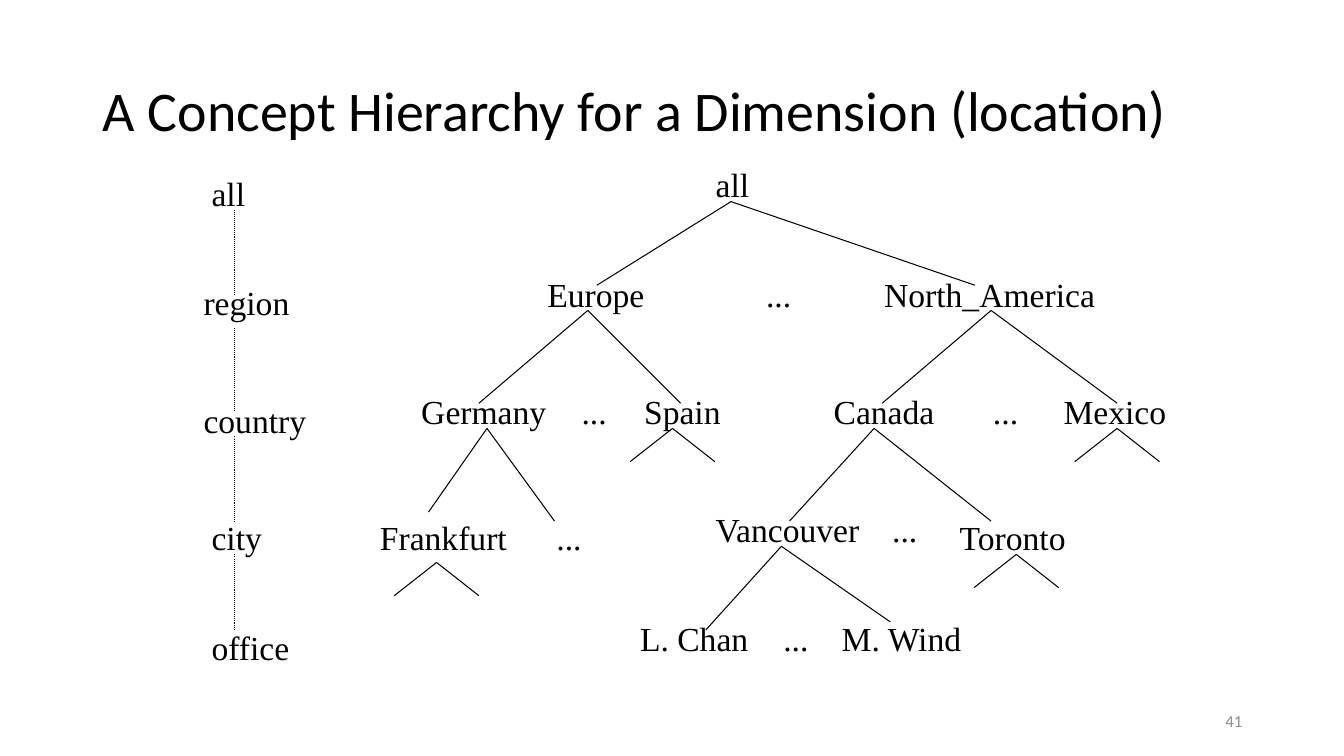
from pptx import Presentation
from pptx.dml.color import RGBColor
from pptx.enum.dml import MSO_LINE
from pptx.enum.shapes import MSO_CONNECTOR
from pptx.enum.text import MSO_ANCHOR, MSO_AUTO_SIZE, PP_ALIGN
from pptx.oxml.ns import qn
from pptx.util import Inches, Pt

THEME = {
    "ink": RGBColor(0, 0, 0),
    "muted": RGBColor(0x8C, 0x8C, 0x8C),
    "heading_font": "Calibri",
    "label_font": "Times New Roman",
    "title_size": Pt(40),
    "label_size": Pt(24),
    "number_size": Pt(12),
    "line_width": Pt(0.75),
}

TITLE = "A Concept Hierarchy for a Dimension (location)"
PAGE_NUMBER = "41"
LABEL_HEIGHT = 0.5
ELLIPSIS_WIDTH = 0.45

LEVELS = [
    ("all", 2, 1.67, 0.53),
    ("region", 1.92, 2.75, 1.05),
    ("country", 1.92, 3.92, 1.22),
    ("city", 2, 5.08, 0.7),
    ("office", 2, 6.17, 0.98),
]
LEVEL_AXIS = 2.33
LEVEL_GAPS = [(2.08, 2.92), (3.25, 4.08), (4.33, 5.17), (5.5, 6.25)]

MEMBERS = [
    ("all", 7, 1.58, 0.53),
    ("Europe", 5.33, 2.67, 1.16),
    ("North_America", 8.67, 2.67, 2.29),
    ("Germany", 4.08, 3.83, 1.44),
    ("Spain", 6.29, 3.83, 0.96),
    ("Canada", 8.17, 3.83, 1.2),
    ("Mexico", 10.45, 3.83, 1.22),
    ("Frankfurt", 3.67, 5.08, 1.46),
    ("Vancouver", 7, 5, 1.66),
    ("Toronto", 9.42, 5.08, 1.27),
    ("L. Chan", 6.25, 6.08, 1.3),
    ("M. Wind", 8.25, 6.08, 1.42),
]
ELLIPSES = [(7.5, 2.67), (5.67, 3.83), (9.75, 3.83), (5.42, 5.08), (8.75, 5), (7.67, 6.08)]

BRANCHES = [
    ((7.25, 2), (5.92, 2.83), (9.67, 2.83)),
    ((5.83, 3.08), (4.75, 4), (6.75, 4)),
    ((9.83, 3.08), (8.75, 4), (11.08, 4)),
    ((4.83, 4.25), (4.25, 5.08), (5.5, 5.17)),
    ((8.67, 4.25), (7.83, 5.17), (9.83, 5.17)),
    ((7.75, 5.42), (7, 6.25), (8.83, 6.17)),
]
STUBS = [(6.67, 4.25), (11.08, 4.25), (4.33, 5.58), (10.08, 5.5)]
STUB_REACH, STUB_DROP = 0.42, 0.33


def add_text(page, text, place, font, frame=None, paragraph=None):
    box = page.shapes.add_textbox(*map(Inches, place)).text_frame
    para = box.paragraphs[0]
    span = para.add_run()
    span.text = text
    span.font.color.rgb = font["color"]
    for target, values in ((box, frame or {}), (para, paragraph or {}),
                           (span.font, {"name": font["name"], "size": font["size"]})):
        for name, value in values.items():
            setattr(target, name, value)


def add_label(page, text, left, top, width):
    add_text(page, text, (left, top, width, LABEL_HEIGHT),
             {"name": THEME["label_font"], "size": THEME["label_size"], "color": THEME["ink"]},
             {"word_wrap": False, "auto_size": MSO_AUTO_SIZE.SHAPE_TO_FIT_TEXT})


def add_line(page, start, end, dash=None):
    line = page.shapes.add_connector(MSO_CONNECTOR.STRAIGHT, *map(Inches, (*start, *end)))
    line.line.color.rgb = THEME["ink"]
    line.line.width = THEME["line_width"]
    if dash:
        line.line.dash_style = dash
    properties = line._element.spPr
    properties.append(properties.makeelement(qn("a:effectLst"), {}))


def main():
    deck = Presentation()
    deck.slide_width, deck.slide_height = Inches(13.33), Inches(7.5)
    page = deck.slides.add_slide(deck.slide_layouts[6])

    add_text(page, TITLE, (0.92, 0.4, 11.5, 1.45),
             {"name": THEME["heading_font"], "size": THEME["title_size"], "color": THEME["ink"]},
             {"word_wrap": True, "vertical_anchor": MSO_ANCHOR.MIDDLE},
             {"line_spacing": 0.9})

    for label in LEVELS + MEMBERS:
        add_label(page, *label)
    for left, top in ELLIPSES:
        add_label(page, "...", left, top, ELLIPSIS_WIDTH)

    for top, bottom in LEVEL_GAPS:
        add_line(page, (LEVEL_AXIS, top), (LEVEL_AXIS, bottom), MSO_LINE.ROUND_DOT)
    for parent, *children in BRANCHES:
        for child in children:
            add_line(page, parent, child)
    for x, y in STUBS:
        for reach in (-STUB_REACH, STUB_REACH):
            add_line(page, (x, y), (x + reach, y + STUB_DROP))

    add_text(page, PAGE_NUMBER, (9.42, 6.95, 3, 0.4),
             {"name": THEME["heading_font"], "size": THEME["number_size"], "color": THEME["muted"]},
             {"word_wrap": True, "vertical_anchor": MSO_ANCHOR.MIDDLE},
             {"alignment": PP_ALIGN.RIGHT})

    deck.save("out.pptx")


if __name__ == "__main__":
    main()
